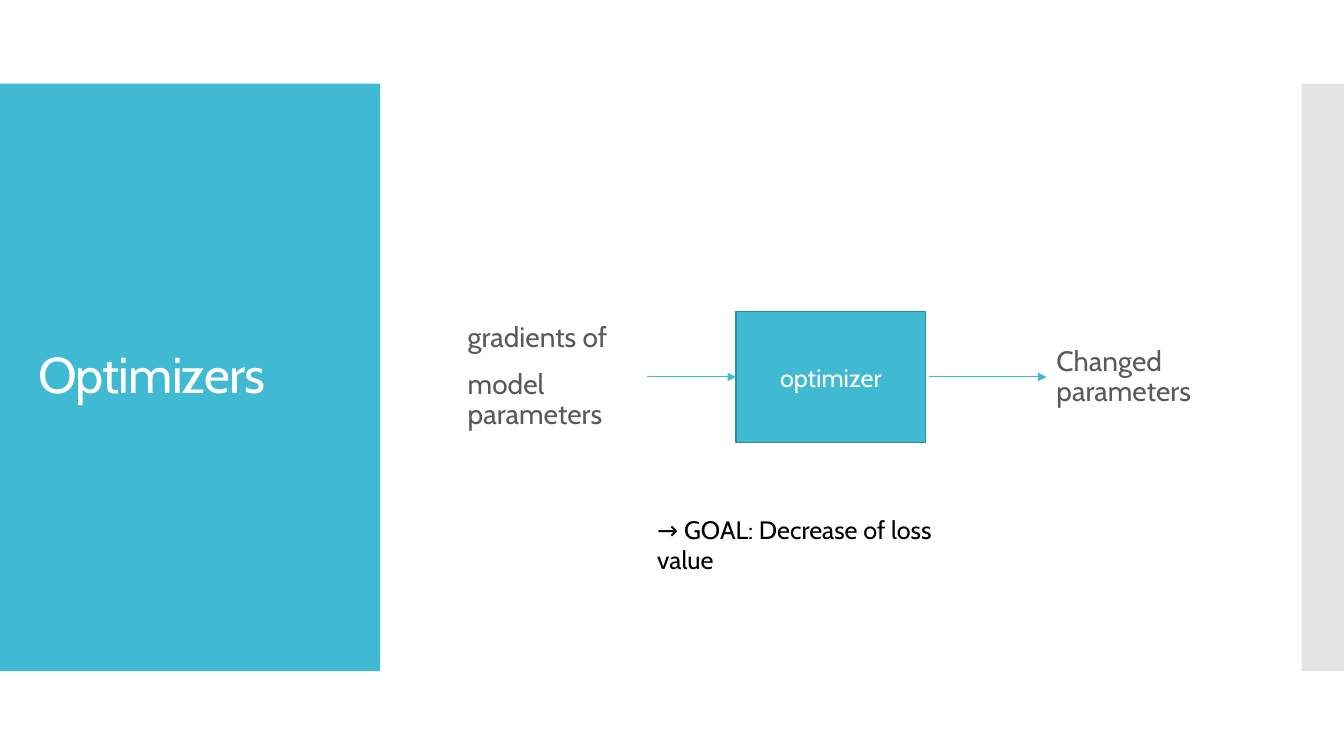
from lxml import etree
from pptx import Presentation
from pptx import util as u
from pptx.dml.color import RGBColor
from pptx.enum import shapes, text
from pptx.oxml import ns

FONT = "Cabin"
HEX = {"teal": "40BAD2", "edge": "2F8A9B", "bar": "C8C8C8",
       "white": "FFFFFF", "gray": "595959", "black": "000000"}


def color(name):
    return RGBColor.from_string(HEX[name])


def add_tag(parent, tag, **attrs):
    return etree.SubElement(parent, ns.qn(tag), attrs)


def write(shape, lines, size, ink, align=text.PP_ALIGN.LEFT,
          anchor=text.MSO_ANCHOR.MIDDLE, space=None, before=None):
    """Fill a shape with one paragraph per line and return the runs."""
    frame = shape.text_frame
    frame.word_wrap = True
    frame.auto_size = text.MSO_AUTO_SIZE.NONE
    frame.vertical_anchor = anchor
    runs = []
    for i, line in enumerate(lines):
        para = frame.add_paragraph() if i else frame.paragraphs[0]
        para.alignment = align
        para.line_spacing = space
        para.space_before = before
        run = para.add_run()
        run.text = line
        run.font.name = FONT
        run.font.size = u.Pt(size)
        run.font.color.rgb = color(ink)
        runs.append(run)
    return runs


def add_rect(slide, box, fill, line=None):
    rect = slide.shapes.add_shape(shapes.MSO_SHAPE.RECTANGLE, *map(u.Inches, box))
    rect.shadow.inherit = False
    rect.fill.solid()
    rect.fill.fore_color.rgb = color(fill)
    if line:
        rect.line.color.rgb = color(line)
        rect.line.width = u.Pt(0.85)
    else:
        rect.line.fill.background()
    return rect


def add_label(slide, box, lines):
    label = slide.shapes.add_textbox(*map(u.Inches, box))
    write(label, lines, 20, "gray", space=0.9, before=u.Pt(12))


def add_arrow(slide, start, end, y):
    arrow = slide.shapes.add_connector(
        shapes.MSO_CONNECTOR.STRAIGHT, *map(u.Inches, (start, y, end, y)))
    arrow.line.color.rgb = color("teal")
    arrow.line.width = u.Pt(0.75)
    add_tag(arrow.line._get_or_add_ln(), "a:tailEnd", type="triangle")
    add_tag(arrow._element.spPr, "a:effectLst")


def add_frame(slide, box):
    """Teal title panel at the left, pale bar at the right edge."""
    left, top, width, height = box
    add_rect(slide, (left, top, 3.77, height), "teal")
    bar = add_rect(slide, (left + width - 0.42, top, 0.42, height), "bar")
    tint = bar._element.spPr.find(ns.qn("a:solidFill"))[0]
    add_tag(tint, "a:alpha", val="50000")

    # Title sits on top of the panel
    title = slide.shapes.title
    title.left, title.top, title.width, title.height = map(
        u.Inches, (left + 0.28, top + 0.4, 3.22, height - 0.8))
    run, = write(title, ["Optimizers"], 36, "white", space=0.9)
    run.font._element.set("spc", "-60")
    slide.shapes._spTree.append(title._element)


def add_flow(slide, box):
    """Input, optimizer and output in a row, with the goal below."""
    left, top, width, height = box
    mid = top + height / 2
    side = 1.88
    block = left + 2.76
    output = left + width - 1.8

    # Input and output
    add_label(slide, (left, top, side, height), ["gradients of", "model parameters"])
    add_label(slide, (output, mid - 0.43, 1.8, 0.87), ["Changed parameters"])

    # Optimizer block
    rect = add_rect(slide, (block, top, side, height), "teal", "edge")
    write(rect, ["optimizer"], 18, "white", text.PP_ALIGN.CENTER)

    # Arrows
    add_arrow(slide, left + side, block, mid)
    add_arrow(slide, block + side + 0.03, output, mid)

    # Goal
    goal = slide.shapes.add_textbox(
        *map(u.Inches, (left + side, top + 1.96, 3.5, 0.4)))
    write(goal, ["→ GOAL: Decrease of loss value"], 18, "black",
          anchor=text.MSO_ANCHOR.TOP)


def main():
    deck = Presentation()
    deck.slide_width = u.Inches(13.33)
    deck.slide_height = u.Inches(7.5)
    slide = deck.slides.add_slide(deck.slide_layouts[5])
    add_frame(slide, (0, 0.83, 13.33, 5.83))
    add_flow(slide, (4.54, 3.09, 7.64, 1.3))
    deck.save("out.pptx")


if __name__ == "__main__":
    main()
